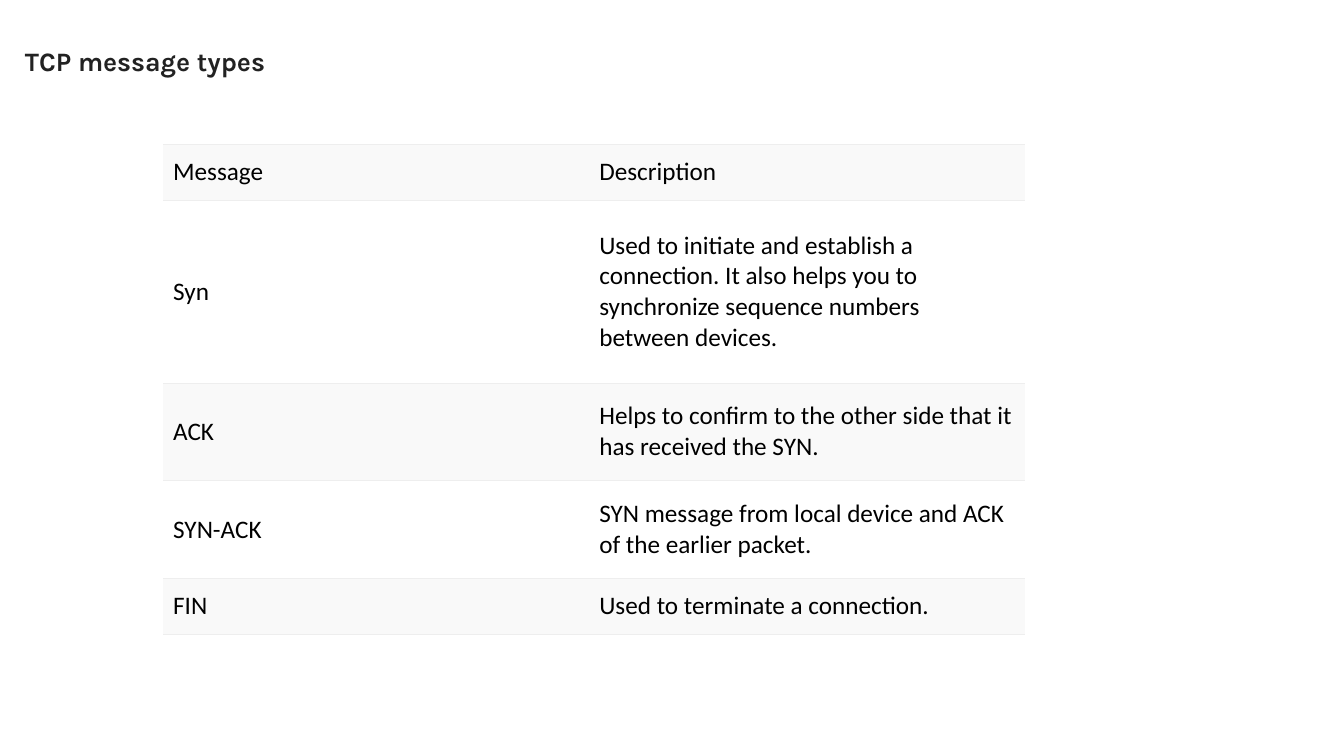
from lxml import etree
from pptx import Presentation
from pptx.dml.color import RGBColor
from pptx.enum import text
from pptx.oxml import ns
from pptx.util import Cm, Pt

WHITE = RGBColor(0xFF, 0xFF, 0xFF)
STRIPE = RGBColor(0xF9, 0xF9, 0xF9)
RULE = RGBColor(0xEE, 0xEE, 0xEE)
TITLE = RGBColor(0x22, 0x22, 0x22)
BLACK = RGBColor(0, 0, 0)

MESSAGES = [
    ("Message", "Description"),
    ("Syn", "Used to initiate and establish a connection. It also helps you to "
            "synchronize sequence numbers between devices."),
    ("ACK", "Helps to confirm to the other side that it has received the SYN."),
    ("SYN-ACK", "SYN message from local device and ACK of the earlier packet."),
    ("FIN", "Used to terminate a connection."),
]
COLUMN_WIDTHS = [Cm(10.74), Cm(10.97)]
ROW_HEIGHTS = [Cm(1.42), Cm(4.6), Cm(2.46), Cm(2.46), Cm(1.42)]


def set_borders(cell):
    """Rule the top and bottom of a cell and leave its sides open."""
    properties = cell._tc.get_or_add_tcPr()
    for side in ("a:lnL", "a:lnR", "a:lnT", "a:lnB"):
        line = etree.SubElement(properties, ns.qn(side), w=str(Pt(0.6)))
        if side in ("a:lnL", "a:lnR"):
            etree.SubElement(line, ns.qn("a:noFill"))
        else:
            fill = etree.SubElement(line, ns.qn("a:solidFill"))
            etree.SubElement(fill, ns.qn("a:srgbClr"), val=str(RULE))


def format_run(run, name, size, color, bold=False):
    run.font.name = name
    run.font.size = Pt(size)
    run.font.color.rgb = color
    run.font.bold = bold


presentation = Presentation()
presentation.slide_width = Cm(33.87)
presentation.slide_height = Cm(19.05)
slide = presentation.slides.add_slide(presentation.slide_layouts[5])

title = slide.shapes.title
title.left, title.top, title.width, title.height = Cm(0.63), Cm(1.04), Cm(15.85), Cm(1.8)
title.fill.solid()
title.fill.fore_color.rgb = WHITE
frame = title.text_frame
frame.text = "TCP message types"
frame.word_wrap = True
frame.auto_size = text.MSO_AUTO_SIZE.NONE
frame.vertical_anchor = text.MSO_ANCHOR.TOP
frame.margin_left = frame.margin_right = frame.margin_bottom = 0
frame.margin_top = Cm(0.08)
frame.paragraphs[0].alignment = text.PP_ALIGN.LEFT
format_run(frame.paragraphs[0].runs[0], "Karla", 19, TITLE, bold=True)

table = slide.shapes.add_table(
    len(MESSAGES), len(COLUMN_WIDTHS), Cm(4.11), Cm(3.63),
    sum(COLUMN_WIDTHS), sum(ROW_HEIGHTS)).table
table.first_row = False
table.horz_banding = False
for column, width in zip(table.columns, COLUMN_WIDTHS):
    column.width = width

for row_index, (row, height, values) in enumerate(zip(table.rows, ROW_HEIGHTS, MESSAGES)):
    row.height = height
    for cell, value in zip(row.cells, values):
        cell.text_frame.text = value
        cell.vertical_anchor = text.MSO_ANCHOR.MIDDLE
        set_borders(cell)
        cell.fill.solid()
        cell.fill.fore_color.rgb = WHITE if row_index % 2 else STRIPE
        format_run(cell.text_frame.paragraphs[0].runs[0], "Calibri", 18, BLACK)

presentation.save("out.pptx")
